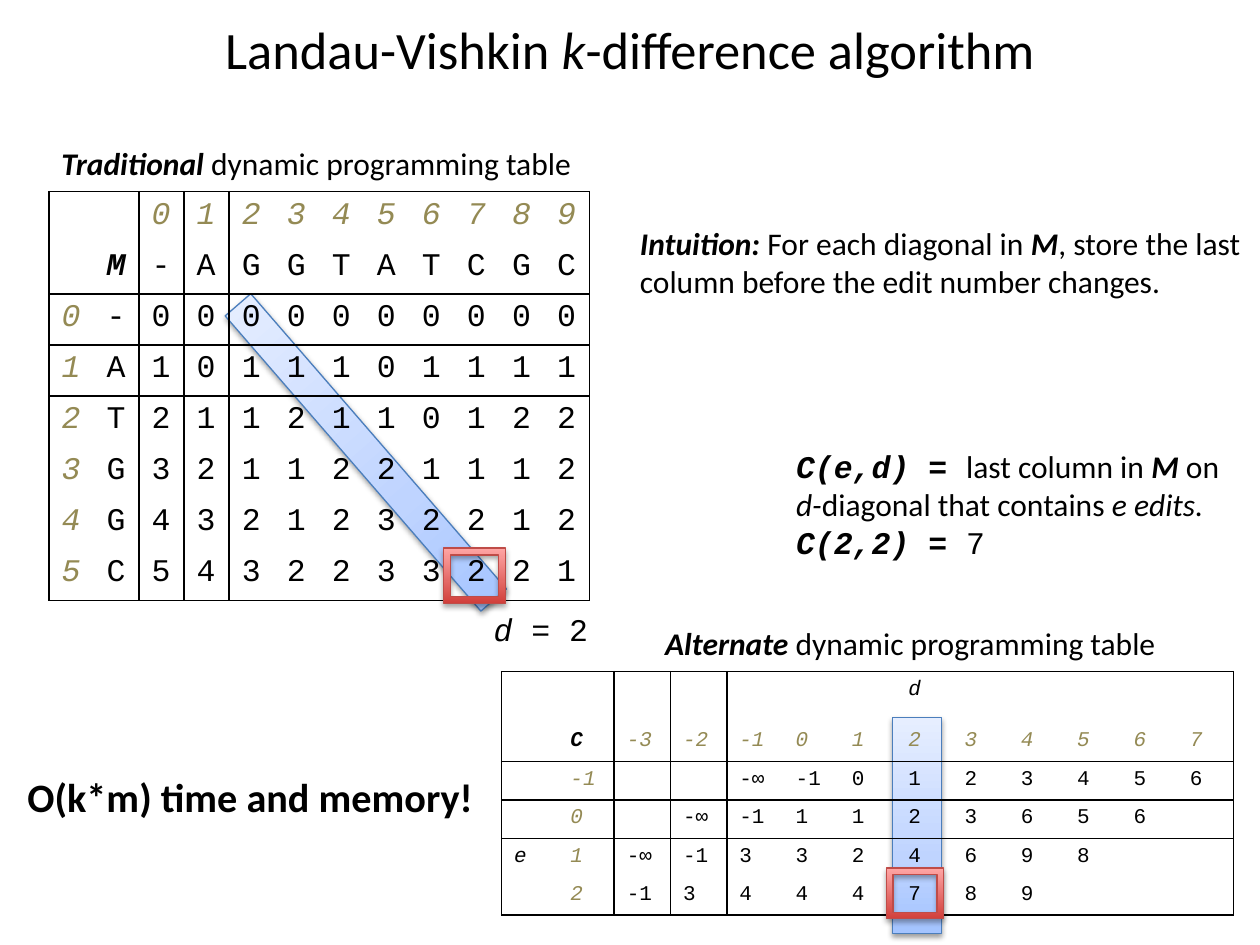
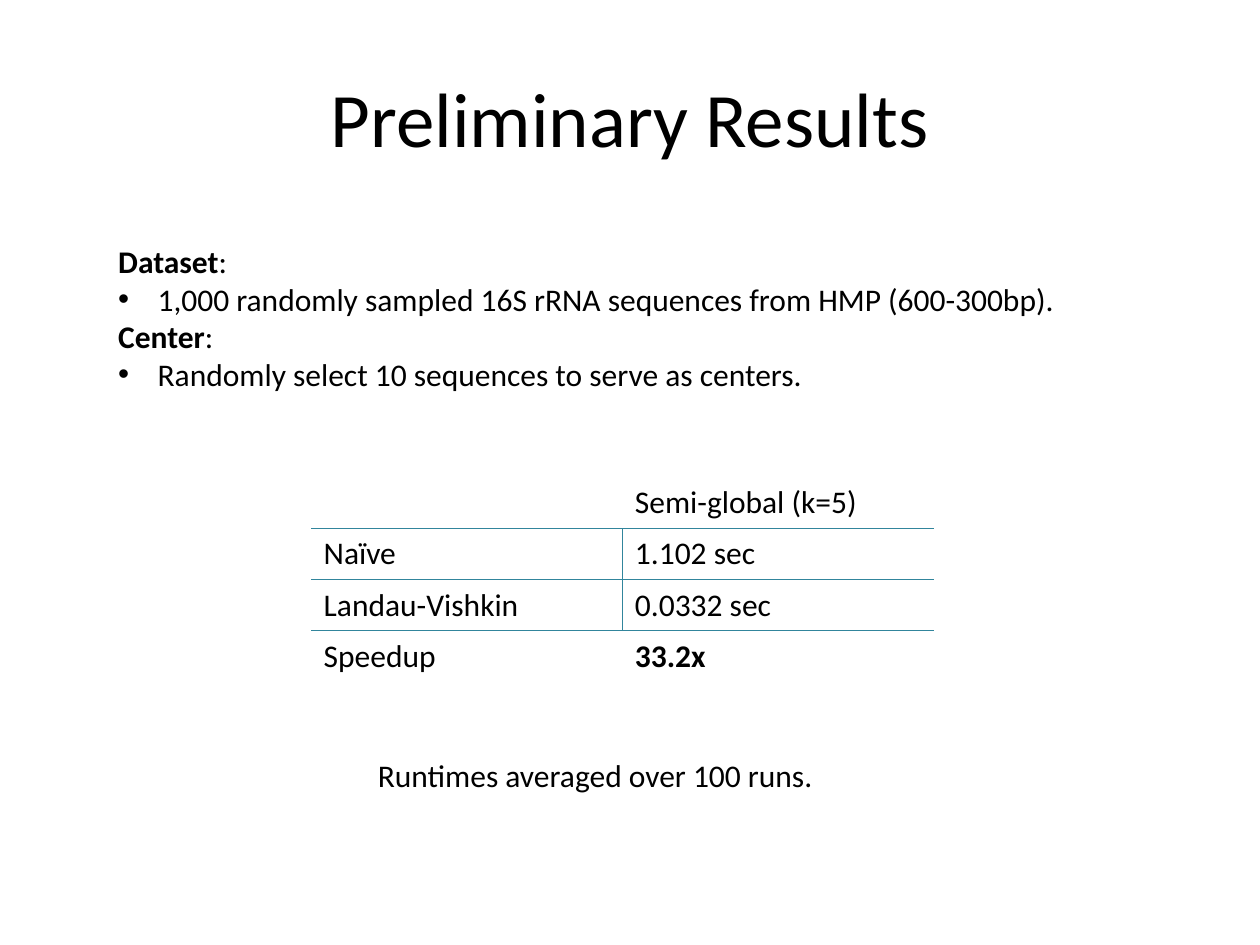
from lxml.etree import SubElement
from pptx import Presentation
from pptx.dml.color import RGBColor
from pptx.enum.shapes import MSO_SHAPE
from pptx.enum.text import MSO_ANCHOR, PP_ALIGN
from pptx.oxml.ns import qn
from pptx.util import Pt

BODY_FONT, CODE_FONT = "Calibri", "Courier New"
BLACK, INDEX_TAN, RESULT_TEAL = "000000", "948A54", "31859C"
PLAIN_TABLE_STYLE = "{2D5ABB26-0587-4C30-8999-92F81FD0307C}"
color = RGBColor.from_string


def add_text(slide, box, paragraphs, size=18, wrap=False, title=False):
    """Each paragraph is a list of (text, style); style letters: b bold, i italic, c code, * bullet."""
    frame = slide.shapes.add_textbox(*map(Pt, box)).text_frame
    frame.word_wrap = wrap
    frame.vertical_anchor = MSO_ANCHOR.MIDDLE if title else MSO_ANCHOR.TOP
    for number, runs in enumerate(paragraphs):
        paragraph = frame.add_paragraph() if number else frame.paragraphs[0]
        paragraph.alignment = PP_ALIGN.CENTER if title else PP_ALIGN.LEFT
        if "*" in runs[0][1]:
            properties = paragraph._p.get_or_add_pPr()
            properties.set("marL", str(Pt(22.5)))
            properties.set("indent", str(-Pt(22.5)))
            SubElement(properties, qn("a:buFont"), typeface="Arial")
            SubElement(properties, qn("a:buChar"), char="•")
        for text, style in runs:
            run = paragraph.add_run()
            run.text = text
            run.font.size = Pt(size)
            run.font.name = CODE_FONT if "c" in style else BODY_FONT
            run.font.bold = "b" in style
            run.font.italic = "i" in style
            run.font.color.rgb = color(BLACK)


def add_ruled_table(slide, left, top, width, heights, rows, font, size,
                    h_rules, v_rules, v_rows, rule_color, rule_width):
    """Rules are numbered by the gridline they follow; vertical ones cross only v_rows."""
    table = slide.shapes.add_table(len(rows), len(rows[0]), Pt(left), Pt(top),
                                   Pt(width), Pt(sum(heights))).table
    table.first_row = table.horz_banding = False
    table._tbl.tblPr.find(qn("a:tableStyleId")).text = PLAIN_TABLE_STYLE
    for column in table.columns:
        column.width = Pt(width / len(rows[0]))
    for r, row in enumerate(rows):
        table.rows[r].height = Pt(heights[r])
        for c, text in enumerate(row):
            cell = table.cell(r, c)
            properties = cell._tc.get_or_add_tcPr()
            sides = {"a:lnL": c in v_rules and r in v_rows,
                     "a:lnR": c + 1 in v_rules and r in v_rows,
                     "a:lnT": r in h_rules, "a:lnB": r + 1 in h_rules}
            for side, ruled in sides.items():
                if ruled:
                    line = SubElement(properties, qn(side), w=str(Pt(rule_width)))
                    fill = SubElement(line, qn("a:solidFill"))
                    SubElement(fill, qn("a:srgbClr"), val=rule_color)
            cell.fill.background()
            paragraph = cell.text_frame.paragraphs[0]
            if text.strip():
                paragraph.text = text
                run_font = paragraph.runs[0].font
                run_font.name, run_font.size = font, Pt(size)
                run_font.color.rgb = color(BLACK)
            else:
                SubElement(paragraph._p, qn("a:endParaRPr"), sz=str(size * 100))
    return table


deck = Presentation()
deck.slide_width, deck.slide_height = Pt(720), Pt(540)
blank = deck.slide_layouts[6]

# Slide 1: algorithm
algorithm = deck.slides.add_slide(blank)

BLUE = ([(0, "A4C4FF"), (35, "BFD4FF"), (100, "E6EEFF")], "4B7EBC", 38, 1.57)
RED = ([(0, "D1403C"), (100, "FFA6A5")], "BF4C48", 35, 1.81)
highlights = [
    (MSO_SHAPE.RECTANGLE, (199.4, 146.9, 19.4, 223.2), 319.1, BLUE),
    (MSO_SHAPE.RECTANGLE, (509.8, 410.2, 28.1, 123.1), 0, BLUE),
    (MSO_SHAPE.FRAME, (506.6, 496.1, 32.4, 28.8), 0, RED),
    (MSO_SHAPE.FRAME, (253.6, 313.2, 35.3, 31.7), 0, RED),
]

traditional_rows = [
    "  0123456789",
    " M-AGGTATCGC",
    "0-0000000000",
    "1A1011101111",
    "2T2112110122",
    "3G3211221112",
    "4G4321232212",
    "5C5432233221",
]
alternate_rows = [line.split(",") for line in (
    ",,,,,,,d,,,,,",
    ",C,-3,-2,-1,0,1,2,3,4,5,6,7",
    ",-1,,,-∞,-1,0,1,2,3,4,5,6",
    ",0,,-∞,-1,1,1,2,3,6,5,6,",
    "e,1,-∞,-1,3,3,2,4,6,9,8,,",
    ",2,-1,3,4,4,4,7,8,9,,,",
)]
# left, top, width, row heights, rows, text size, index row, index column
matrices = [
    (286.6, 383.8, 418.3, [29.4] + [21.96] * 5, alternate_rows, 12, 1, 1),
    (28, 109.5, 308.9, [29.2] * 8, traditional_rows, 18, 0, 0),
]


# Ribbons lie under the tables and frames over them.
for layer in (MSO_SHAPE.RECTANGLE, MSO_SHAPE.FRAME):
    for preset, box, rotation, (stops, outline, opacity, distance) in highlights:
        if preset != layer:
            continue
        highlight = algorithm.shapes.add_shape(preset, *map(Pt, box))
        highlight.rotation = rotation
        highlight.fill.gradient()
        highlight.fill.gradient_angle = 90
        stop_list = highlight._element.spPr.find(qn("a:gradFill")).find(qn("a:gsLst"))
        stop_list.clear()
        for position, stop_color in stops:
            stop = SubElement(stop_list, qn("a:gs"), pos=str(position * 1000))
            SubElement(stop, qn("a:srgbClr"), val=stop_color)
        highlight.line.color.rgb = color(outline)
        highlight.line.width = Pt(0.75)
        highlight.shadow.inherit = False
        effects = highlight._element.spPr.find(qn("a:effectLst"))
        shadow = SubElement(effects, qn("a:outerShdw"), blurRad=str(Pt(3.15)),
                            dist=str(Pt(distance)), dir="5400000", rotWithShape="0")
        shade = SubElement(shadow, qn("a:srgbClr"), val=BLACK)
        SubElement(shade, qn("a:alpha"), val=str(opacity * 1000))

    if layer == MSO_SHAPE.RECTANGLE:
        for left, top, width, heights, rows, size, index_row, index_column in matrices:
            matrix = add_ruled_table(
                algorithm, left, top, width, heights, rows, CODE_FONT, size,
                h_rules={0, 2, 3, len(rows)}, v_rules={0, 2, 3, len(rows[0])},
                v_rows=range(len(rows)), rule_color=BLACK, rule_width=1)
            for r, row in enumerate(rows):
                for c, text in enumerate(row):
                    if not text.strip():
                        continue
                    font = matrix.cell(r, c).text_frame.paragraphs[0].runs[0].font
                    is_name = (r, c) == (1, 1)
                    is_index = not is_name and (r == index_row or c == index_column)
                    font.bold = is_name
                    font.italic = is_name or is_index or text in ("d", "e")
                    if is_index:
                        font.color.rgb = color(INDEX_TAN)

add_text(algorithm, (275, 344.9, 69.8, 28.8), [[("d", "ic"), (" = 2", "c")]])
add_text(algorithm, (447.8, 252, 262.8, 72.7), [
    [("C(e,d)", "bic"), (" = ", "bc"), ("last column in ", ""), ("M ", "bi"), ("on ", ""),
     ("d-", "i"), ("diagonal that contains ", ""), ("e edits.", "i")],
    [("C(2,2)", "bic"), (" = ", "bc"), ("7", "c")],
], wrap=True)
for kind, left, top, width in [("Traditional", 28, 78.5, 311), ("Alternate", 373, 352.8, 299.5)]:
    add_text(algorithm, (left, top, width, 28.8),
             [[(kind, "bi"), (" dynamic programming table", "")]])
add_text(algorithm, (358.6, 124.6, 357.8, 51.1), [
    [("Intuition: ", "bi"), ("For each diagonal in ", ""), ("M", "bi"),
     (", store the last column before the edit number changes.", "")],
], wrap=True)
add_text(algorithm, (36, -17.3, 648, 90),
         [[("Landau-Vishkin ", ""), ("k", "i"), ("-difference algorithm", "")]],
         size=30, wrap=True, title=True)
add_text(algorithm, (8.6, 437.8, 300.2, 35.3), [[("O(k*m) time and memory!", "b")]],
         size=23, wrap=True)

# Slide 2: results
results = deck.slides.add_slide(blank)
add_text(results, (36, 21.6, 648, 90), [[("Preliminary Results", "")]],
         size=44, wrap=True, title=True)
runtimes = add_ruled_table(
    results, 177.8, 272.9, 355.7, [29.2] * 4,
    [["", "Semi-global (k=5)"], ["Naïve", "1.102 sec"],
     ["Landau-Vishkin", "0.0332 sec"], ["Speedup", "33.2x"]],
    BODY_FONT, 18, h_rules={1, 2, 3}, v_rules={1}, v_rows={1, 2},
    rule_color=RESULT_TEAL, rule_width=0.75)
runtimes.cell(3, 1).text_frame.paragraphs[0].runs[0].font.bold = True
add_text(results, (60.5, 134.6, 549.4, 138.2), [
    [("Dataset", "b"), (":", "")],
    [("1,000 randomly sampled 16S rRNA sequences from HMP (600-300bp).", "*")],
    [("Center", "b"), (":", "")],
    [("Randomly select 10 sequences to serve as centers.", "*")],
])
add_text(results, (208.8, 428.4, 267.1, 28.8), [[("Runtimes averaged over 100 runs.", "")]])

deck.save("out.pptx")
